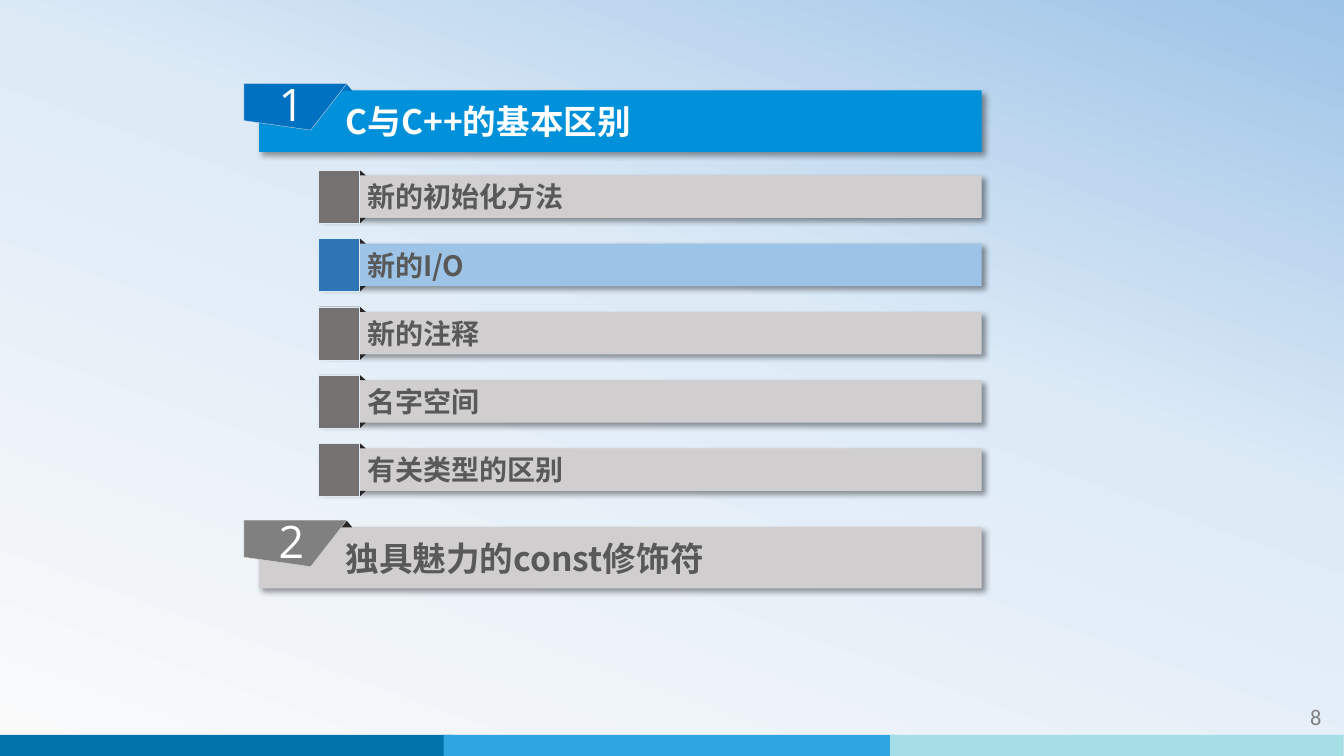
from copy import deepcopy

from lxml import etree
from pptx import Presentation
from pptx.dml.color import RGBColor
from pptx.enum.shapes import MSO_SHAPE
from pptx.enum.text import MSO_ANCHOR, PP_ALIGN
from pptx.oxml.ns import qn
from pptx.util import Cm, Pt

RECT, WEDGE = MSO_SHAPE.RECTANGLE, MSO_SHAPE.ISOSCELES_TRIANGLE
LEFT, CENTER, RIGHT = PP_ALIGN.LEFT, PP_ALIGN.CENTER, PP_ALIGN.RIGHT
MIDDLE = MSO_ANCHOR.MIDDLE

WHITE = RGBColor(0xFF, 0xFF, 0xFF)
SNOW = RGBColor(0xFA, 0xFA, 0xFA)
PALE = RGBColor(0xDE, 0xEB, 0xF7)
SKY = RGBColor(0x9D, 0xC3, 0xE6)
BLUE = RGBColor(0x00, 0x91, 0xDA)
DEEP = RGBColor(0x00, 0x70, 0xC0)
STEEL = RGBColor(0x2E, 0x75, 0xB6)
SILVER = RGBColor(0xD0, 0xCE, 0xCE)
EDGE = RGBColor(0xD9, 0xD9, 0xD9)
GRAY = RGBColor(0x80, 0x80, 0x80)
STONE = RGBColor(0x76, 0x71, 0x71)
SLATE = RGBColor(0x59, 0x59, 0x59)
BLACK = RGBColor(0x26, 0x26, 0x26)
BANDS = [RGBColor(0x00, 0x73, 0xAB), RGBColor(0x2E, 0xA7, 0xE0),
         RGBColor(0xA5, 0xDE, 0xE4)]
HAN, LATIN, PAGE = "Noto Sans CJK SC", "Open Sans", "Calibri"

# Top in cm, number, title, bar, tag, fold and text colours
HEADS = [
    (2.11, "1", "C与C++的基本区别", BLUE, DEEP, DEEP, WHITE),
    (13.11, "2", "独具魅力的const修饰符", SILVER, GRAY, BLACK, SLATE),
]
ITEMS = ["新的初始化方法", "新的I/O", "新的注释", "名字空间", "有关类型的区别"]
ACTIVE = 1
ITEM_TOP, ITEM_STEP = 4.29, 1.72
STOPS = [(0, SNOW), (0.58, PALE), (1, SKY)]

prs = Presentation()
prs.slide_width, prs.slide_height = Cm(33.87), Cm(19.05)
slide = prs.slides.add_slide(prs.slide_layouts[6])
shapes = slide.shapes


def paint(shape, fill, line=None):
    shape.shadow.inherit = False
    shape.fill.solid()
    shape.fill.fore_color.rgb = fill
    if line is None:
        shape.line.fill.background()
    else:
        shape.line.color.rgb = line
        shape.line.width = Pt(0.25)
    return shape


def block(kind, x, y, w, h, fill, line=None):
    return paint(shapes.add_shape(kind, Cm(x), Cm(y), Cm(w), Cm(h)), fill, line)


def write(shape, text, size, color, font, bold=False, align=LEFT,
          inset=(0.25, 0.13, 0.25, 0.13)):
    frame = shape.text_frame
    frame.word_wrap = True
    frame.vertical_anchor = MIDDLE
    (frame.margin_left, frame.margin_top,
     frame.margin_right, frame.margin_bottom) = map(Cm, inset)
    para = frame.paragraphs[0]
    para.alignment = align
    run = para.add_run()
    run.text = text
    run.font.size, run.font.bold, run.font.name = Pt(size), bold, font
    run.font.color.rgb = color
    east = etree.SubElement(run.font._element, qn("a:ea"))
    east.set("typeface", font)


def shade(shape):
    """Give the shape a soft shadow to the lower right."""
    effects = shape._element.spPr.find(qn("a:effectLst"))
    outer = etree.SubElement(effects, qn("a:outerShdw"), blurRad=str(Pt(4)),
                             dist=str(Pt(3)), dir="2700000", algn="tl",
                             rotWithShape="0")
    tint = etree.SubElement(outer, qn("a:srgbClr"), val="000000")
    etree.SubElement(tint, qn("a:alpha"), val="40000")


def bar(x, y, w, h, fill, text, size, color, indent):
    shape = block(RECT, x, y, w, h, fill)
    shade(shape)
    write(shape, text, size, color, HAN, bold=True,
          inset=(indent, 0.13, 0.25, 0.13))


def head(top, number, title, fill, tag, fold, color):
    bar(6.53, top + 0.17, 18.21, 1.55, fill, title, 24, color, 2.18)
    block(WEDGE, 8.58, top, 0.3, 0.18, fold)
    x = 6.15
    path = shapes.build_freeform(Cm(x), Cm(top))
    path.add_line_segments([(Cm(x + dx), Cm(top + dy)) for dx, dy in
                            [(2.59, 0), (1.68, 1.17), (0, 0.93)]])
    flag = paint(path.convert_to_shape(), tag, EDGE)
    write(flag, number, 32, WHITE, LATIN, align=CENTER,
          inset=(0.23, 0.1, 0.43, 0.25))


def item(top, text, fill, tab):
    bar(8.05, top + 0.13, 16.69, 1.07, fill, text, 20, SLATE, 1.2)
    block(WEDGE, 8.92, top, 0.3, 0.13, BLACK)
    lower = block(WEDGE, 8.92, top + 1.2, 0.3, 0.14, BLACK)
    lower._element.spPr.find(qn("a:xfrm")).set("flipV", "1")
    block(RECT, 8.03, top, 1.02, 1.34, tab, PALE)


back = slide.background.fill
back.gradient()
back.gradient_angle = 70
stops = slide.element.find(".//" + qn("a:gsLst"))
stops.append(deepcopy(stops[-1]))
for stop, (place, color) in zip(back.gradient_stops, STOPS):
    stop.position, stop.color.rgb = place, color

for x, color in zip((0, 11.18, 22.43), BANDS):
    block(RECT, x, 18.52, 11.43, 0.53, color)
page = shapes.add_textbox(Cm(29.51), Cm(17.55), Cm(4.04), Cm(1.02))
write(page, "8", 16, GRAY, PAGE, align=RIGHT)

for row in HEADS:
    head(*row)
for i, text in enumerate(ITEMS):
    fill, tab = (SKY, STEEL) if i == ACTIVE else (SILVER, STONE)
    item(ITEM_TOP + i * ITEM_STEP, text, fill, tab)

prs.save("out.pptx")
